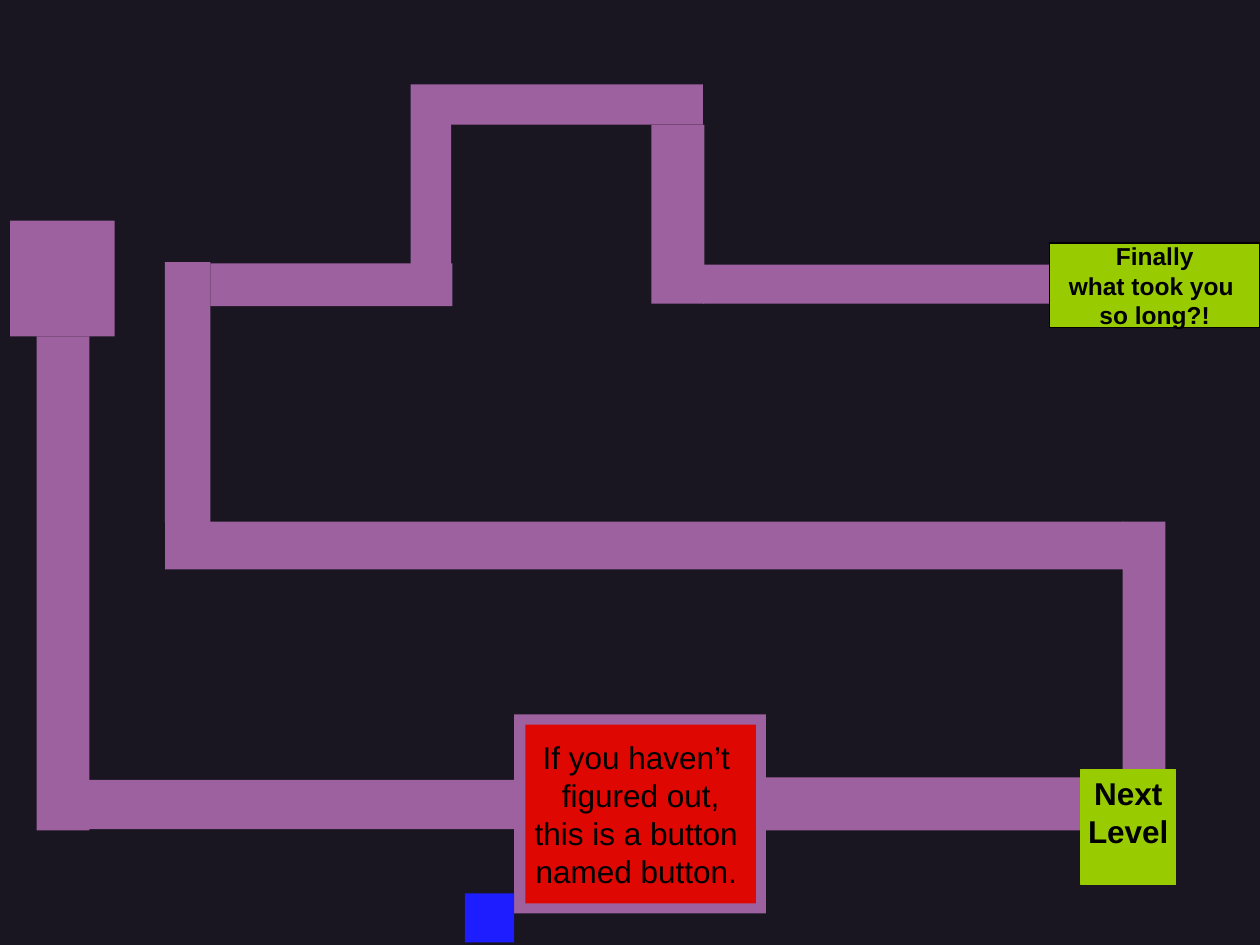
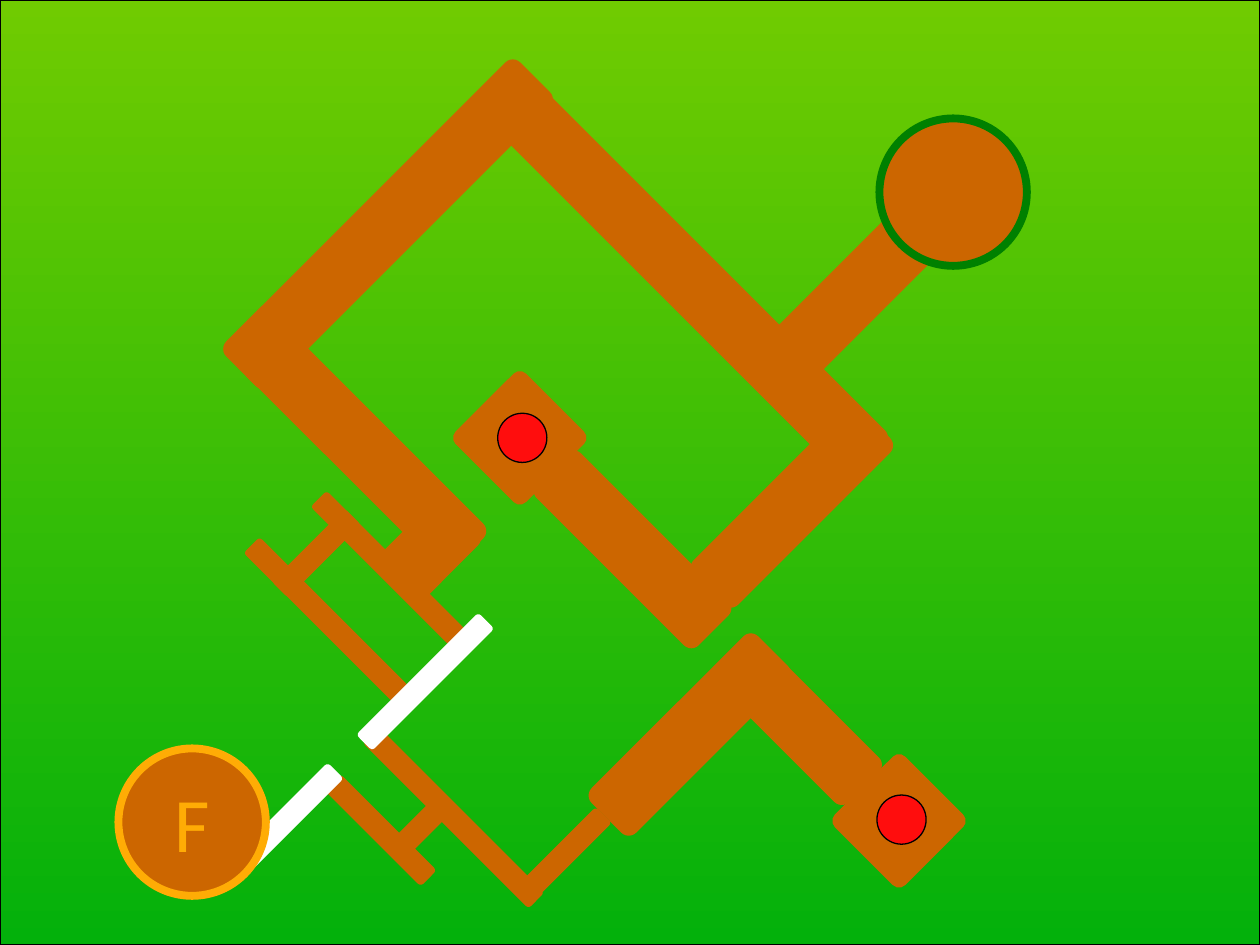
from pptx import Presentation
from pptx.dml.color import RGBColor
from pptx.enum.shapes import MSO_SHAPE
from pptx.enum.text import MSO_ANCHOR, PP_ALIGN
from pptx.util import Inches, Pt

COLORS = {
    "night": "191622", "corridor": "9E619F", "button": "DE0702", "goal": "99CC00",
    "player": "1D1DFF", "black": "000000", "white": "FFFFFF",
    "grass_top": "70CB01", "grass_bottom": "03B10B", "trail": "CC6600",
    "exit_ring": "008000", "switch": "FF0D0D", "finish_ring": "FFAC05",
}

deck = Presentation()
deck.slide_width, deck.slide_height = Inches(10), Inches(7.5)
COLUMN = deck.slide_width / 10
ROW = deck.slide_height / 7.5


def rgb(name):
    return RGBColor.from_string(COLORS[name])


def add_piece(slide, kind, area, fill, outline=None, weight=0.75, turn=0,
              lines=(), font="Arial", size=18, bold=False, ink="black"):
    """Place one maze piece; area is left, top, width, height in columns and rows."""
    left, top, width, height = area
    piece = slide.shapes.add_shape(
        kind, round(left * COLUMN), round(top * ROW),
        round(width * COLUMN), round(height * ROW))
    piece.shadow.inherit = False
    piece.rotation = turn
    piece.fill.solid()
    piece.fill.fore_color.rgb = rgb(fill)
    if outline:
        piece.line.color.rgb = rgb(outline)
        piece.line.width = Pt(weight)
    else:
        piece.line.fill.background()
    frame = piece.text_frame
    for i, words in enumerate(lines):
        frame.word_wrap = False
        frame.vertical_anchor = MSO_ANCHOR.MIDDLE
        paragraph = frame.paragraphs[0] if i == 0 else frame.add_paragraph()
        paragraph.alignment = PP_ALIGN.CENTER
        run = paragraph.add_run()
        run.text = words
        run.font.name, run.font.size, run.font.bold = font, Pt(size), bold
        run.font.color.rgb = rgb(ink)
    return piece


# Slide 1: the night maze
night_maze = deck.slides.add_slide(deck.slide_layouts[6])
night_maze.background.fill.solid()
night_maze.background.fill.fore_color.rgb = rgb("night")

corridors = [
    (0.08, 1.75, 0.83, 0.92),  # start room
    (0.29, 2.67, 0.42, 3.92),
    (1.67, 2.09, 1.92, 0.34),
    (4.08, 5.67, 2, 1.58),  # frame of the button
    (5.58, 2.1, 2.79, 0.31),
    (3.58, 0.67, 2, 0.32),
    (3.26, 0.67, 0.32, 1.45),
    (5.17, 0.99, 0.42, 1.42),
    (1.31, 2.08, 0.36, 2.07),
    (1.31, 4.14, 7.61, 0.38),
    (0.67, 6.19, 3.42, 0.39),
    (6.08, 6.17, 2.5, 0.42),
    (8.91, 4.14, 0.34, 1.97),
]
for area in corridors:
    add_piece(night_maze, MSO_SHAPE.RECTANGLE, area, "corridor")

add_piece(night_maze, MSO_SHAPE.RECTANGLE, (4.17, 5.75, 1.83, 1.42), "button",
          lines=["If you haven’t ", "figured out,", "this is a button ", "named button. "])
add_piece(night_maze, MSO_SHAPE.RECTANGLE, (8.58, 6.11, 0.75, 0.67), "goal", "goal",
          lines=["Next", "Level"], bold=True)
add_piece(night_maze, MSO_SHAPE.RECTANGLE, (8.58, 6.78, 0.75, 0.24), "goal", "goal")
add_piece(night_maze, MSO_SHAPE.RECTANGLE, (3.69, 7.09, 0.39, 0.39), "player")
add_piece(night_maze, MSO_SHAPE.RECTANGLE, (8.33, 1.93, 1.67, 0.67), "goal", "black",
          lines=["Finally", "what took you ", "so long?!"], size=14, bold=True)

# Slide 2: the grass maze
grass_maze = deck.slides.add_slide(deck.slide_layouts[6])
grass = add_piece(grass_maze, MSO_SHAPE.RECTANGLE, (0, 0, 10, 7.5), "grass_top", "black")
grass.fill.gradient()
grass.fill.gradient_angle = 270
for stop, name, position in zip(grass.fill.gradient_stops,
                                ("grass_top", "grass_bottom"), (0, 1)):
    stop.color.rgb = rgb(name)
    stop.position = position

# Every path runs on a diagonal: falling to the right or rising to the right
FALL, RISE = 45, 315
BROAD, NARROW, CHAMBER = 0.5, 0.18, 0.79
paths = [  # colour, thickness, corner share, (left, top, length, direction)
    ("trail", BROAD, 0.167, [
        (6.01, 1.92, 1.87, RISE), (3.26, 1.89, 4.27, FALL), (1.43, 1.53, 3.3, RISE),
        (5.35, 3.77, 1.87, RISE), (4.11, 4.11, 1.82, FALL), (1.66, 3.29, 2.41, FALL),
        (3.06, 4.1, 0.72, RISE), (5.56, 5.46, 1.52, FALL), (4.54, 5.58, 1.87, RISE)]),
    ("trail", CHAMBER, 0.088, [
        (3.73, 3.08, CHAMBER, FALL), (6.74, 6.12, CHAMBER, FALL)]),
    ("trail", NARROW, 0.167, [
        (2.3, 4.42, 1.56, FALL), (2.1, 4.3, 0.82, RISE), (1.75, 4.83, 1.68, FALL),
        (2.67, 6.4, 1.86, FALL), (2.48, 6.5, 1.08, FALL), (3.02, 6.48, 0.63, RISE),
        (3.99, 6.71, 0.94, RISE)]),
    ("white", NARROW, 0.167, [
        (2.69, 5.32, 1.37, RISE), (1.64, 6.45, 1.2, RISE)]),
]
for color, thickness, corner, stretches in paths:
    for left, top, length, direction in stretches:
        stretch = add_piece(grass_maze, MSO_SHAPE.ROUNDED_RECTANGLE,
                            (left, top, length, thickness), color, turn=direction)
        stretch.adjustments[0] = corner

for left, top in ((6.96, 6.31), (3.95, 3.28)):
    add_piece(grass_maze, MSO_SHAPE.OVAL, (left, top, 0.39, 0.39), "switch", "black")

add_piece(grass_maze, MSO_SHAPE.OVAL, (6.98, 0.94, 1.17, 1.17), "trail", "exit_ring", 4.5)
add_piece(grass_maze, MSO_SHAPE.OVAL, (0.94, 5.94, 1.17, 1.17), "trail", "finish_ring", 4.5,
          lines=["F"], font="Calibri", size=44, ink="finish_ring")

deck.save("out.pptx")
